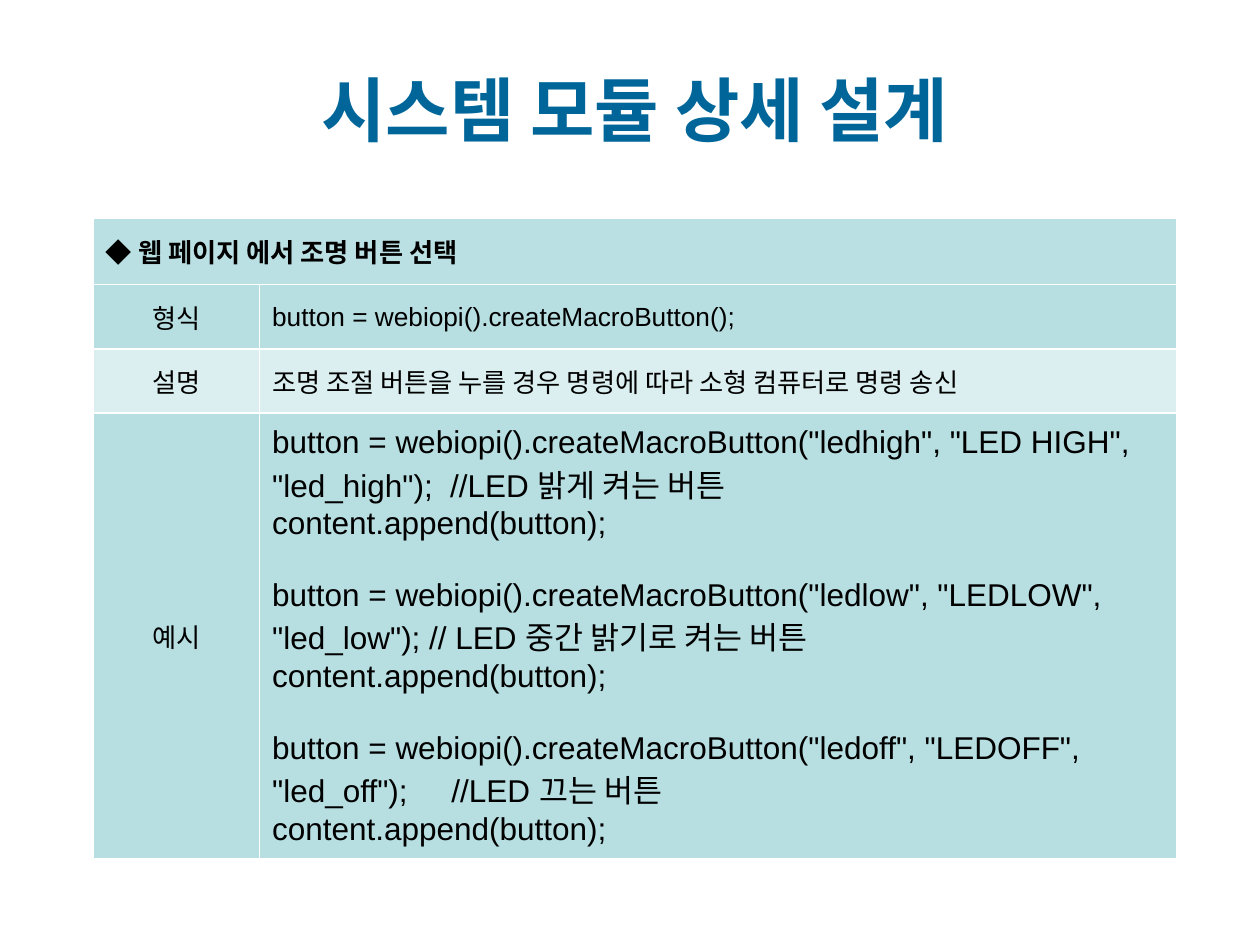
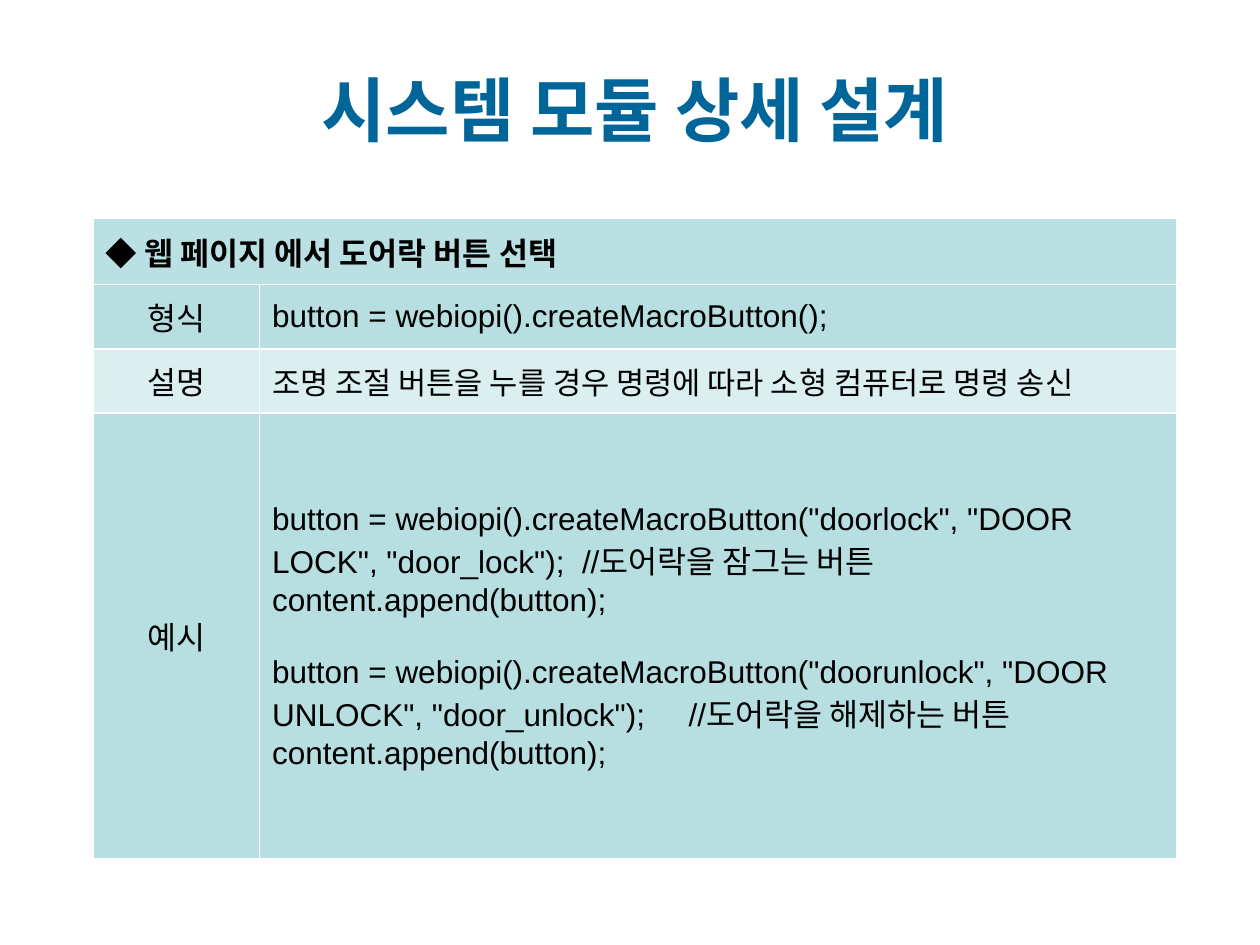
from dataclasses import dataclass

from pptx import Presentation
from pptx.dml.color import RGBColor
from pptx.enum.text import MSO_ANCHOR, PP_ALIGN
from pptx.presentation import Presentation as Deck
from pptx.slide import Slide
from pptx.table import _Cell as Cell
from pptx.util import Inches, Pt


@dataclass(frozen=True)
class Theme:
    title_font: str = "Quicksand"
    body_font: str = "Arial"
    title_color: RGBColor = RGBColor(0x00, 0x66, 0x99)
    text_color: RGBColor = RGBColor(0x00, 0x00, 0x00)
    header_fill: RGBColor = RGBColor(0xBB, 0xE0, 0xE3)
    dark_band: RGBColor = RGBColor(0xB7, 0xDE, 0xE1)
    light_band: RGBColor = RGBColor(0xDB, 0xEF, 0xF0)
    title_size: float = 40
    compact_size: float = 15
    regular_size: float = 18
    snug_size: float = 17.5
    example_gap: float = 21


THEME = Theme()
TITLE = "시스템 모듈 상세 설계"
FORMAT = "button = webiopi().createMacroButton();"
DESCRIPTION = "조명 조절 버튼을 누를 경우 명령에 따라 소형 컴퓨터로 명령 송신"
APPEND = "content.append(button);"
COLUMN_WIDTHS = (1.32, 7.28)
ROW_HEIGHTS = (0.53, 0.51, 0.51, 3.54)


@dataclass(frozen=True)
class ModuleSpec:
    heading: str
    button_calls: tuple[str, ...]
    size: float
    description_size: float


MODULES = (
    ModuleSpec(
        "◆ 웹 페이지 에서 조명 버튼 선택",
        (
            'button = webiopi().createMacroButton("ledhigh", "LED HIGH", "led_high");  //LED 밝게 켜는 버튼',
            'button = webiopi().createMacroButton("ledlow", "LEDLOW", "led_low"); // LED 중간 밝기로 켜는 버튼',
            'button = webiopi().createMacroButton("ledoff", "LEDOFF", "led_off");     //LED 끄는 버튼',
        ),
        THEME.compact_size,
        THEME.compact_size,
    ),
    ModuleSpec(
        "◆ 웹 페이지 에서 도어락 버튼 선택",
        (
            'button = webiopi().createMacroButton("doorlock", "DOOR LOCK", "door_lock");  //도어락을 잠그는 버튼',
            'button = webiopi().createMacroButton("doorunlock", "DOOR UNLOCK", "door_unlock");     //도어락을 해제하는 버튼',
        ),
        THEME.regular_size,
        THEME.snug_size,
    ),
)


def add_title(slide: Slide) -> None:
    title = slide.shapes.title
    title.left, title.top = Inches(0.58), Inches(0.3)
    title.width, title.height = Inches(8.92), Inches(1.12)
    title.text_frame.text = TITLE
    title.text_frame.vertical_anchor = MSO_ANCHOR.MIDDLE
    heading = title.text_frame.paragraphs[0]
    heading.alignment = PP_ALIGN.CENTER
    heading.font.name = THEME.title_font
    heading.font.size = Pt(THEME.title_size)
    heading.font.bold = True
    heading.font.color.rgb = THEME.title_color


def fill_cell(cell: Cell, text: str, size: float, fill: RGBColor,
              align: PP_ALIGN = PP_ALIGN.LEFT, bold: bool = False) -> None:
    cell.fill.solid()
    cell.fill.fore_color.rgb = fill
    cell.vertical_anchor = MSO_ANCHOR.MIDDLE
    cell.text_frame.text = text
    for line in cell.text_frame.paragraphs:
        line.alignment = align
        line.font.name = THEME.body_font
        line.font.size = Pt(size)
        line.font.bold = bold
        line.font.color.rgb = THEME.text_color


def add_module_table(slide: Slide, module: ModuleSpec) -> None:
    table = slide.shapes.add_table(
        len(ROW_HEIGHTS), len(COLUMN_WIDTHS), Inches(0.74), Inches(1.73),
        Inches(sum(COLUMN_WIDTHS)), Inches(sum(ROW_HEIGHTS))).table
    for column, width in zip(table.columns, COLUMN_WIDTHS):
        column.width = Inches(width)
    for row, height in zip(table.rows, ROW_HEIGHTS):
        row.height = Inches(height)

    header = table.cell(0, 0)
    header.merge(table.cell(0, 1))
    fill_cell(header, module.heading, module.size, THEME.header_fill, bold=True)

    example = "\n".join(f"{call}\n{APPEND}" for call in module.button_calls)
    details = (
        ("형식", FORMAT, module.size),
        ("설명", DESCRIPTION, module.description_size),
        ("예시", example, THEME.regular_size),
    )
    for row, (label, content, size) in enumerate(details, start=1):
        band = THEME.dark_band if row % 2 else THEME.light_band
        fill_cell(table.cell(row, 0), label, module.size, band, PP_ALIGN.CENTER)
        fill_cell(table.cell(row, 1), content, size, band)

    example_lines = table.cell(len(details), 1).text_frame.paragraphs
    for call_line in example_lines[2::2]:
        call_line.space_before = Pt(THEME.example_gap)


def add_module_slide(deck: Deck, module: ModuleSpec) -> None:
    title_only = deck.slide_layouts[5]
    slide = deck.slides.add_slide(title_only)
    add_title(slide)
    add_module_table(slide, module)


def main() -> None:
    deck = Presentation()
    deck.slide_width, deck.slide_height = Inches(10), Inches(7.5)
    for module in MODULES:
        add_module_slide(deck, module)
    deck.save("out.pptx")


if __name__ == "__main__":
    main()
